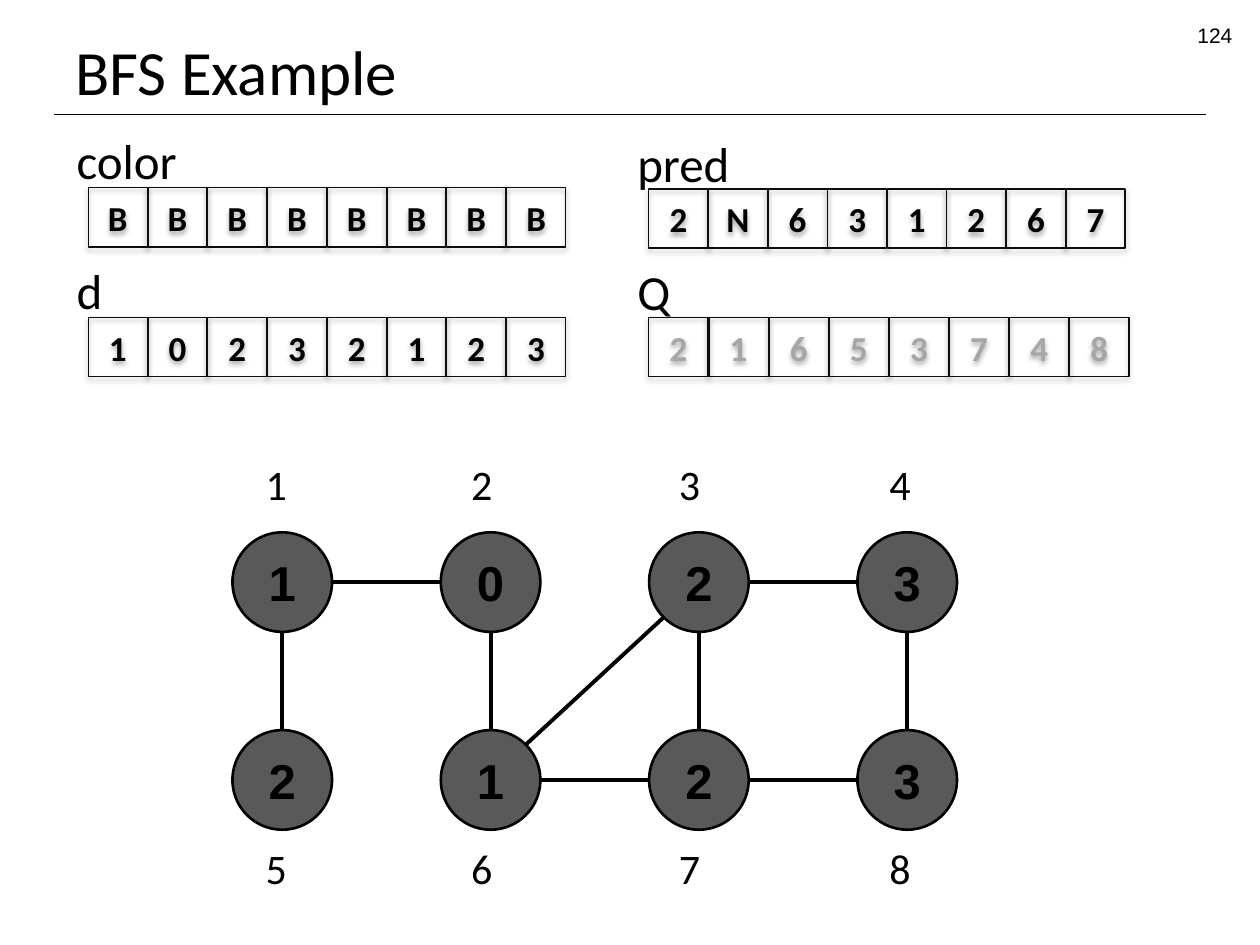
from math import hypot

from pptx import Presentation, util as u
from pptx.dml.color import RGBColor
from pptx.enum import shapes as es, text as et
from pptx.oxml import parse_xml
from pptx.oxml.ns import nsdecls

TITLE, PAGE = "BFS Example", "124"
# name, values, label box, first cell place, first to last cell, text colour
ARRAYS = [
    ("color", "BBBBBBBB", (0.51, 0.99, 1.01, 0.57), (0.7, 1.49), 3.32, "000000"),
    ("pred", "2N631267", (4.96, 1.01, 0.94, 0.57), (5.15, 1.5), 3.31, "000000"),
    ("d", "10232123", (0.51, 2.02, 0.41, 0.57), (0.7, 2.52), 3.32, "000000"),
    ("Q", "21653748", (4.96, 2.03, 0.47, 0.57), (5.15, 2.52), 3.34, "A6A6A6"),
]
DEPTHS = ["1023", "2123"]
EDGES = [(1, 5), (1, 2), (2, 6), (6, 3), (3, 7), (6, 7), (3, 4), (7, 8), (4, 8)]

CELL, NODE = 0.47, 0.79
LEFT, TOP, COL, ROW = 2.24, 4.62, 4.96 / 3, 1.57  # centres of the graph's grid
TAG_LEFTS, TAG_TOPS = [2.01, 3.64, 5.29, 6.96], [3.59, 6.64]

SHADOW = (f'<a:effectLst {nsdecls("a")}><a:outerShdw blurRad="{u.Pt(3.1)}" '
          f'dist="{u.Pt(1.8)}" dir="5400000" rotWithShape="0">'
          '<a:srgbClr val="000000"><a:alpha val="35000"/></a:srgbClr>'
          '</a:outerShdw></a:effectLst>')
NO_SHADOW = f'<a:effectLst {nsdecls("a")}/>'


def rgb(code):
    return RGBColor.from_string(code)


def write(shape, words, size, font="Calibri", color="000000", bold=False,
          align="LEFT", anchor="TOP", wrap=False, grow=False):
    frame = shape.text_frame
    frame.word_wrap = wrap
    fit = et.MSO_AUTO_SIZE
    frame.auto_size = fit.SHAPE_TO_FIT_TEXT if grow else fit.NONE
    frame.vertical_anchor = et.MSO_ANCHOR[anchor]
    para = frame.paragraphs[0]
    para.alignment = et.PP_ALIGN[align]
    run = para.add_run()
    run.text = words
    run.font.name, run.font.size, run.font.bold = font, u.Pt(size), bold
    run.font.color.rgb = rgb(color)


def add_box(slide, x, y, w, h, words, size, **form):
    box = slide.shapes.add_textbox(*map(u.Inches, (x, y, w, h)))
    write(box, words, size, **form)


def add_form(slide, kind, x, y, side, line, width, fill=None):
    form = slide.shapes.add_shape(kind, *map(u.Inches, (x, y, side, side)))
    form.shadow.inherit = False
    if fill:
        form.fill.solid()
        form.fill.fore_color.rgb = rgb(fill)
    else:
        form.fill.background()
    form.line.color.rgb, form.line.width = rgb(line), u.Pt(width)
    return form


def add_line(slide, start, end, width):
    line = slide.shapes.add_connector(
        es.MSO_CONNECTOR.STRAIGHT, *map(u.Inches, (*start, *end)))
    line.line.color.rgb, line.line.width = rgb("000000"), u.Pt(width)
    line._element.spPr.append(parse_xml(NO_SHADOW))


def add_array(slide, name, values, label, first, span, color):
    (x, y), kind = first, es.MSO_SHAPE.RECTANGLE
    pitch = span / (len(values) - 1)
    for i, value in enumerate(values):
        cell = add_form(slide, kind, x + i * pitch, y, CELL, "0D0D0D", 0.75)
        props = cell._element.spPr
        props.replace(props.effectLst, parse_xml(SHADOW))
        write(cell, value, 20, color=color, bold=True,
              align="CENTER", anchor="MIDDLE")
    add_box(slide, *label, name, 28, grow=True)


def center(node):
    row, col = divmod(node - 1, 4)
    return LEFT + col * COL, TOP + row * ROW


def add_edge(slide, a, b):
    """Join two nodes at the nearest of the eight points on their rims."""
    (ax, ay), (bx, by) = center(a), center(b)
    dx, dy = (bx > ax) - (bx < ax), (by > ay) - (by < ay)
    step = NODE / 2 / hypot(dx, dy)
    add_line(slide, (ax + dx * step, ay + dy * step),
             (bx - dx * step, by - dy * step), 2.25)


def add_graph(slide):
    for edge in EDGES:
        add_edge(slide, *edge)
    for i, depth in enumerate("".join(DEPTHS)):
        x, y = center(i + 1)
        node = add_form(slide, es.MSO_SHAPE.OVAL, x - NODE / 2, y - NODE / 2,
                        NODE, "000000", 1.5, fill="595959")
        write(node, depth, 28, font="Arial", bold=True,
              align="CENTER", anchor="MIDDLE")
        row, col = divmod(i, 4)
        add_box(slide, TAG_LEFTS[col], TAG_TOPS[row], 0.37, 0.5,
                str(i + 1), 24, grow=True)


def main():
    deck = Presentation()
    deck.slide_width, deck.slide_height = u.Inches(10), u.Inches(7.5)
    slide = deck.slides.add_slide(deck.slide_layouts[5])
    add_line(slide, (0.43, 0.91), (9.57, 0.91), 0.75)
    title = slide.shapes.title
    title.left, title.top = u.Inches(0.5), u.Inches(0.13)
    title.width, title.height = u.Inches(9), u.Inches(0.78)
    write(title, TITLE, 36, anchor="BOTTOM", wrap=True)
    add_box(slide, 7.55, 0.13, 2.33, 0.28, PAGE, 12, font="Arial",
            align="RIGHT", wrap=True)
    for array in ARRAYS:
        add_array(slide, *array)
    add_graph(slide)
    deck.save("out.pptx")


if __name__ == "__main__":
    main()
